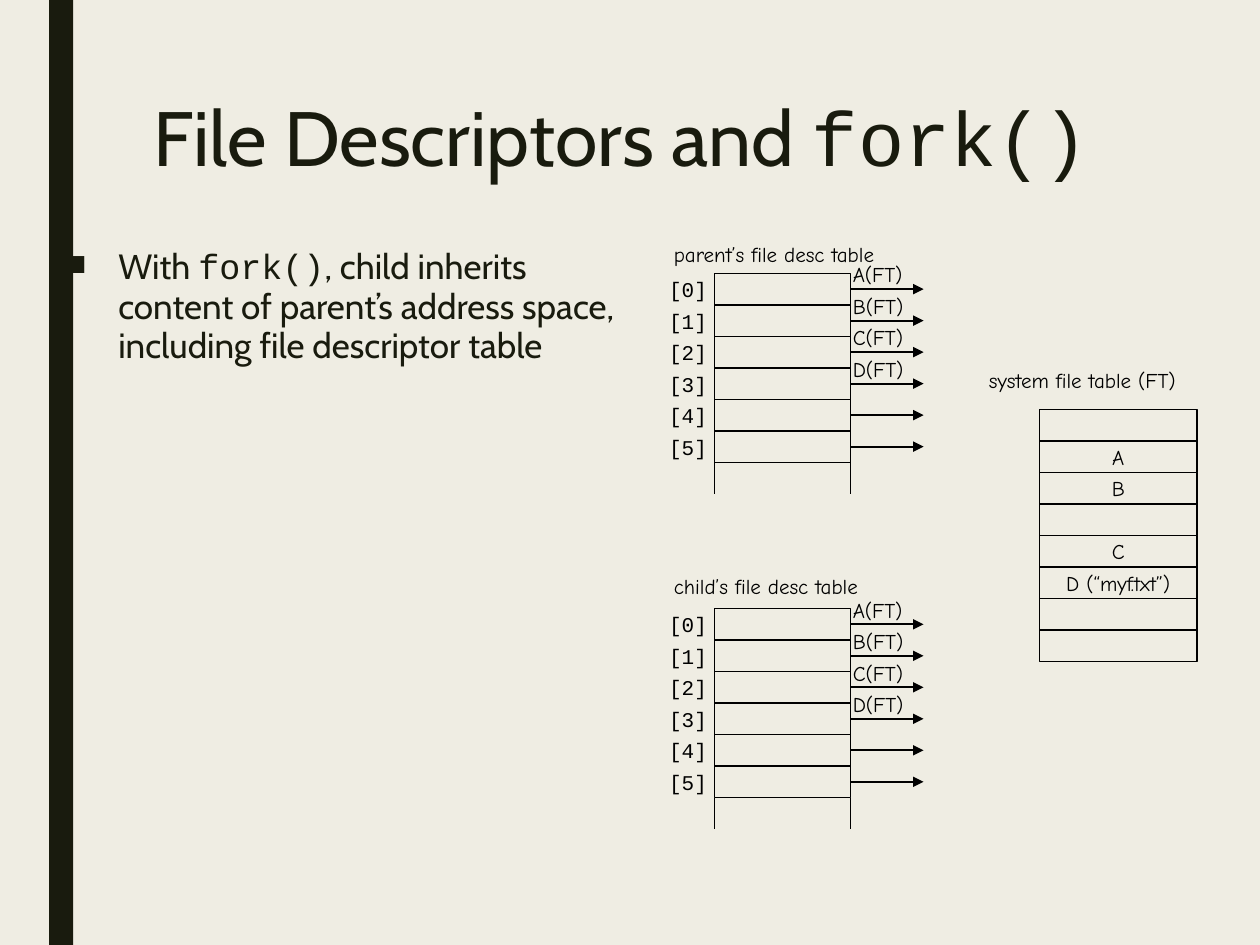
"""Builds the slide on file descriptors and fork()."""
from lxml import etree
from pptx import Presentation
from pptx import util as u
from pptx.dml.color import RGBColor
from pptx.enum import shapes, text
from pptx.oxml.ns import qn

COLORS = {"bg": "EFEDE3", "dark": "191B0E", "line": "000000"}
SANS, HAND, MONO = "Cabin", "Comic Neue", "Courier New"
ROW = 0.25
DESC_X, DESC_W = 5.67, 1.08
ARROW_W = 0.58
FILES = ["A(FT)", "B(FT)", "C(FT)", "D(FT)"]
SYSTEM_ROWS = ["", "A", "B", "", "C", "D (“myf.txt”)", "", ""]


def rgb(name):
    """Return the named colour."""
    return RGBColor.from_string(COLORS[name])


def inches(*values):
    """Convert lengths to Inches."""
    return [u.Inches(v) for v in values]


def add_runs(p, runs, size, color):
    """Add (text, font) runs to a paragraph."""
    for words, font in runs:
        r = p.add_run()
        r.text = words
        r.font.name = font
        r.font.size = u.Pt(size)
        r.font.color.rgb = rgb(color)


def add_textbox(s, box, runs, size, color, spacing):
    """Add a wrapping text box and return its paragraph."""
    tf = s.shapes.add_textbox(*inches(*box)).text_frame
    tf.word_wrap = True
    p = tf.paragraphs[0]
    p.line_spacing = spacing
    add_runs(p, runs, size, color)
    return p


def add_bullet(p, char, indent):
    """Give a paragraph a hanging bullet."""
    pPr = p._p.get_or_add_pPr()
    pPr.set("marL", str(u.Inches(indent)))
    pPr.set("indent", str(-u.Inches(indent)))
    etree.SubElement(pPr, qn("a:buFont")).set("typeface", MONO)
    etree.SubElement(pPr, qn("a:buChar")).set("char", char)


def center(tf):
    """Centre a single unwrapped line in its frame."""
    tf.word_wrap = False
    tf.margin_left = tf.margin_right = 0
    tf.margin_top = tf.margin_bottom = 0
    tf.vertical_anchor = text.MSO_ANCHOR.MIDDLE
    tf.paragraphs[0].alignment = text.PP_ALIGN.CENTER


def add_label(s, x, y, w, words):
    """Add a one-line diagram label."""
    tf = s.shapes.add_textbox(*inches(x, y, w, 0.3)).text_frame
    tf.word_wrap = False
    tf.auto_size = text.MSO_AUTO_SIZE.SHAPE_TO_FIT_TEXT
    add_runs(tf.paragraphs[0], [(words, HAND)], 12, "line")


def add_index(s, y, number):
    """Add the bracketed index beside a table row."""
    tf = s.shapes.add_textbox(*inches(5.25, y, 0.42, ROW)).text_frame
    center(tf)
    add_runs(tf.paragraphs[0], [(f"[{number}]", MONO)], 12, "line")


def add_rect(s, box):
    """Add a plain rectangle."""
    sp = s.shapes.add_shape(shapes.MSO_SHAPE.RECTANGLE, *inches(*box))
    sp.shadow.inherit = False
    return sp


def add_cell(s, x, y, w, words=""):
    """Add an outlined table row with optional text."""
    sp = add_rect(s, (x, y, w, ROW))
    sp.fill.background()
    sp.line.color.rgb = rgb("line")
    sp.line.width = u.Pt(1)
    if words:
        center(sp.text_frame)
        add_runs(sp.text_frame.paragraphs[0], [(words, HAND)], 12, "line")


def add_line(s, x1, y1, x2, y2, arrow=False):
    """Add a straight line, with an arrowhead at its end if wanted."""
    c = s.shapes.add_connector(
        shapes.MSO_CONNECTOR.STRAIGHT, *inches(x1, y1, x2, y2))
    c.line.color.rgb = rgb("line")
    c.line.width = u.Pt(1)
    if arrow:
        ln = c._element.spPr.find(qn("a:ln"))
        etree.SubElement(ln, qn("a:tailEnd")).set("type", "triangle")
    etree.SubElement(c._element.spPr, qn("a:effectLst"))


def add_descriptor_table(s, top, title, title_y, title_w):
    """Add a process's descriptor table with indices and arrows."""
    right = DESC_X + DESC_W
    add_label(s, 5.25, title_y, title_w, title)
    for i in range(6):
        y = top + i * ROW
        add_cell(s, DESC_X, y, DESC_W)
        add_index(s, y, i)
        mid = y + ROW / 2
        add_line(s, right, mid, right + ARROW_W, mid, arrow=True)
    bottom = top + 6 * ROW
    for x in (DESC_X, right):
        add_line(s, x, bottom, x, bottom + ROW)
    for i, name in enumerate(FILES):
        add_label(s, 6.67, top - 0.14 + i * ROW, 0.66, name)


def add_system_table(s):
    """Add the system file table."""
    add_label(s, 7.75, 2.87, 1.92, "system file table (FT)")
    for i, words in enumerate(SYSTEM_ROWS):
        add_cell(s, 8.25, 3.25 + i * ROW, 1.25, words)


def main():
    """Build and save the slide."""
    prs = Presentation()
    prs.slide_width, prs.slide_height = inches(10, 7.5)
    s = prs.slides.add_slide(prs.slide_layouts[6])
    s.background.fill.solid()
    s.background.fill.fore_color.rgb = rgb("bg")

    bar = add_rect(s, (0.39, 0, 0.19, 7.5))
    bar.fill.solid()
    bar.fill.fore_color.rgb = rgb("dark")
    bar.line.fill.background()

    add_textbox(s, (1.12, 0.75, 7.88, 1.62),
                [("File Descriptors and ", SANS), ("fork()", MONO)],
                44, "dark", 0.89)
    body = [("With ", SANS), ("fork()", MONO),
            (", child inherits content of parent’s address space, "
             "including file descriptor table", SANS)]
    p = add_textbox(s, (0.42, 1.92, 4.58, 5.17), body, 20, "dark", 0.94)
    p.space_after = u.Pt(2)
    add_bullet(p, "■", 0.42)

    add_descriptor_table(s, 2.17, "parent’s file desc table", 1.87, 2)
    add_descriptor_table(s, 4.83, "child’s file desc table", 4.5, 1.86)
    add_system_table(s)
    prs.save("out.pptx")


if __name__ == "__main__":
    main()
